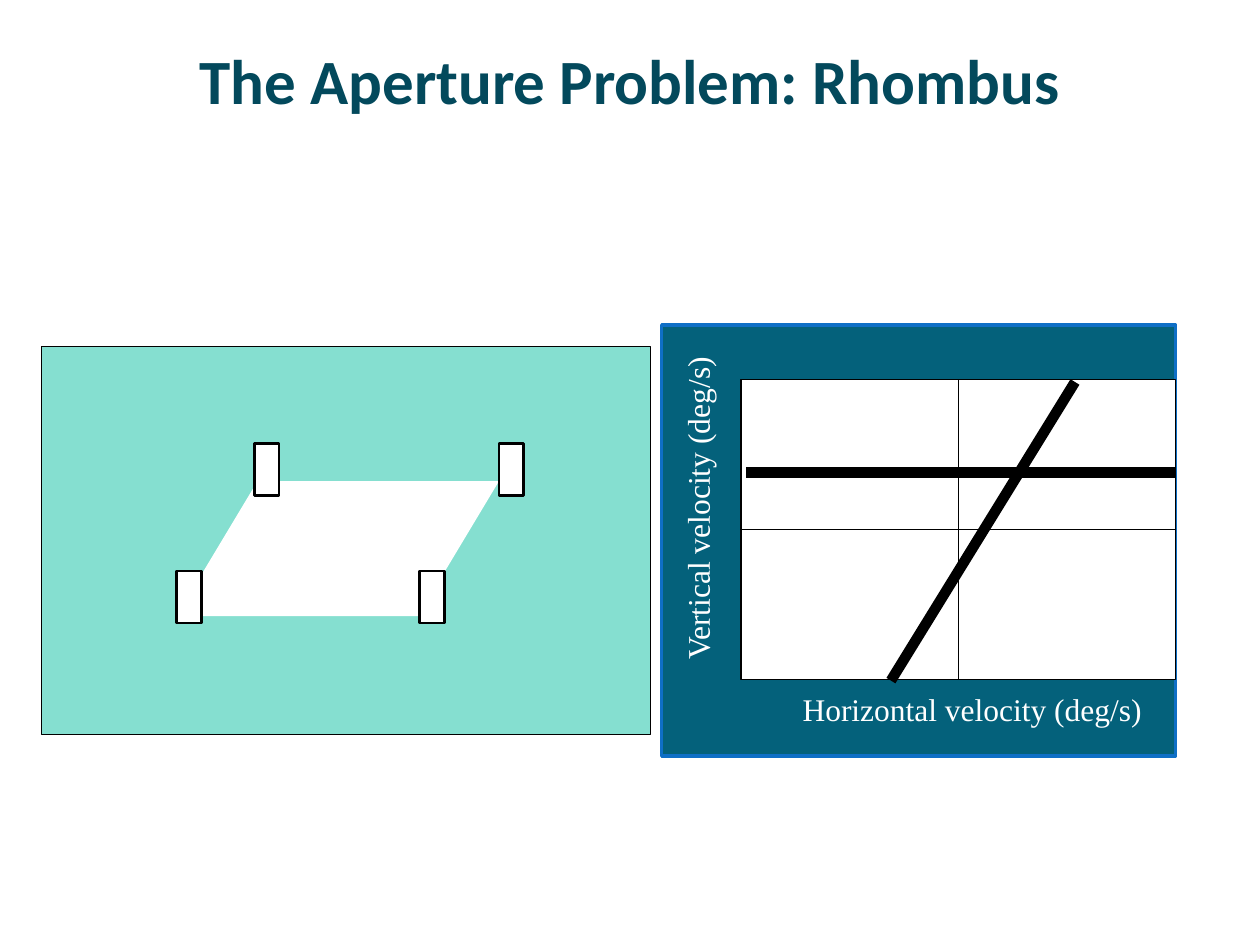
from dataclasses import dataclass
from lxml.etree import SubElement
from pptx import Presentation
from pptx.dml.color import RGBColor as RGB
from pptx.enum.shapes import MSO_CONNECTOR as Connector, MSO_SHAPE as Shape
from pptx.enum.text import MSO_ANCHOR as Anchor, MSO_AUTO_SIZE as AutoSize, PP_ALIGN as Align
from pptx.oxml.ns import qn
from pptx.util import Cm, Pt


@dataclass(frozen=True)
class Theme:
    title: RGB = RGB(0x03, 0x49, 0x5C)
    panel: RGB = RGB(0x04, 0x61, 0x7B)
    border: RGB = RGB(0x0F, 0x6F, 0xC6)
    stage: RGB = RGB(0x85, 0xDF, 0xD0)
    white: RGB = RGB(0xFF, 0xFF, 0xFF)
    black: RGB = RGB(0, 0, 0)
    title_size: Pt = Pt(36)
    label_size: Pt = Pt(18)
    thin: Pt = Pt(0.75)
    aperture_line: Pt = Pt(1.5)
    panel_line: Pt = Pt(2)
    constraint_line: Pt = Pt(6)


theme = Theme()
presentation = Presentation()
presentation.slide_width, presentation.slide_height = Cm(25.4), Cm(19.05)
slide = presentation.slides.add_slide(presentation.slide_layouts[5])


def add_box(kind, left, top, width, height, fill, line, line_width):
    shape = slide.shapes.add_shape(kind, Cm(left), Cm(top), Cm(width), Cm(height))
    shape.shadow.inherit = False
    shape.fill.solid()
    shape.fill.fore_color.rgb = fill
    if line is None:
        shape.line.fill.background()
    else:
        shape.line.color.rgb = line
        shape.line.width = line_width
    return shape


def add_line(x1, y1, x2, y2, width):
    line = slide.shapes.add_connector(Connector.STRAIGHT, Cm(x1), Cm(y1), Cm(x2), Cm(y2))
    line.line.color.rgb = theme.black
    line.line.width = width
    SubElement(line.element.spPr, qn("a:effectLst"))


title = slide.shapes.title
title.left, title.top, title.width, title.height = Cm(1.27), Cm(0.43), Cm(22.86), Cm(2.34)
title.text_frame.text = "The Aperture Problem: Rhombus"
title.text_frame.vertical_anchor = Anchor.MIDDLE
paragraph = title.text_frame.paragraphs[0]
paragraph.alignment = Align.CENTER
font = paragraph.runs[0].font
font.name, font.size, font.bold = "Calibri", theme.title_size, True
font.color.rgb = theme.title

add_box(Shape.RECTANGLE, 13.34, 6.55, 10.36, 8.69, theme.panel, theme.border, theme.panel_line)

plot_left, plot_top, plot_width, plot_height = 14.94, 7.65, 8.76, 6.05
plot_right, plot_bottom = plot_left + plot_width, plot_top + plot_height
center_x, center_y = plot_left + plot_width / 2, plot_top + plot_height / 2
add_box(Shape.RECTANGLE, plot_left, plot_top, plot_width, plot_height,
        theme.white, theme.black, theme.thin)
add_line(center_x, plot_top, center_x, plot_bottom, theme.thin)
add_line(plot_left, center_y, plot_right, center_y, theme.thin)

axis_labels = [
    ("Horizontal velocity (deg/s)", 15.93, 13.79, 7.42, 0),
    ("Vertical velocity (deg/s)", 10.72, 9.7, 6.68, 270),
]
for text, left, top, width, rotation in axis_labels:
    label = slide.shapes.add_textbox(Cm(left), Cm(top), Cm(width), Cm(1.02))
    label.rotation = rotation
    label.text_frame.text = text
    label.text_frame.word_wrap = False
    label.text_frame.auto_size = AutoSize.SHAPE_TO_FIT_TEXT
    font = label.text_frame.paragraphs[0].runs[0].font
    font.name, font.size = "Times New Roman", theme.label_size
    font.color.rgb = theme.white

add_box(Shape.RECTANGLE, 0.84, 6.99, 12.27, 7.82, theme.stage, theme.black, theme.thin)
rhombus = add_box(Shape.PARALLELOGRAM, 3.56, 9.7, 6.5, 2.72, theme.white, None, None)
rhombus.adjustments[0] = 0.6

for left, top in [(5.13, 8.94), (10.06, 8.94), (3.56, 11.51), (8.46, 11.51)]:
    add_box(Shape.RECTANGLE, left, top, 0.5, 1.05,
            theme.white, theme.black, theme.aperture_line)

add_line(21.67, 7.7, 17.96, 13.72, theme.constraint_line)
add_line(15.04, 9.53, plot_right, 9.53, theme.constraint_line)

presentation.save("out.pptx")
